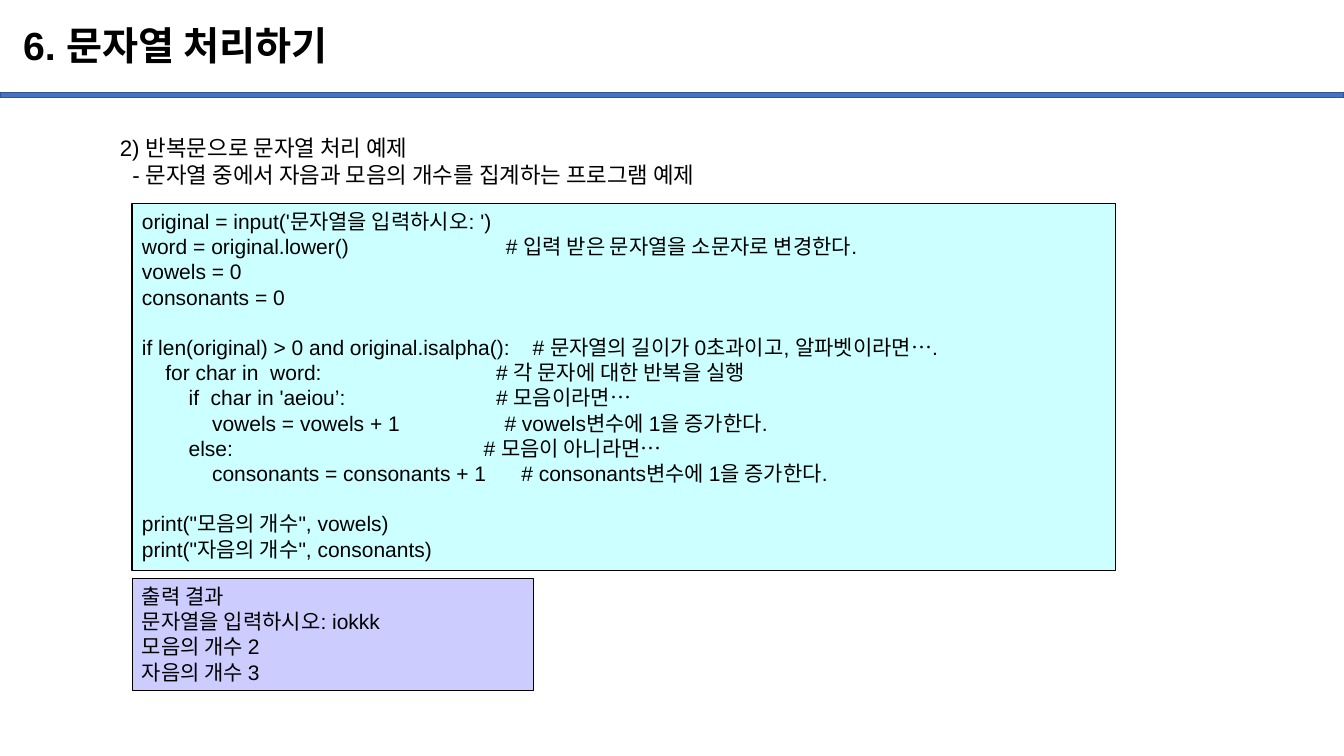
"""Build the slide on processing strings with a loop."""
from lxml import etree
from pptx import Presentation
from pptx import util as u
from pptx.dml.color import RGBColor
from pptx.enum import shapes, text
from pptx.oxml import ns

BLACK = RGBColor(0x00, 0x00, 0x00)
BLUE = RGBColor(0x44, 0x72, 0xC4)
DARK_BLUE = RGBColor(0x32, 0x54, 0x91)
CYAN = RGBColor(0xCC, 0xFF, 0xFF)
LAVENDER = RGBColor(0xCC, 0xCC, 0xFF)
INDENT = 16.7
LINE_HEIGHT = 18


def add_box(left, top, width, height, fill, line, line_width):
    shape = slide.shapes.add_shape(
        shapes.MSO_SHAPE.RECTANGLE, u.Pt(left), u.Pt(top), u.Pt(width), u.Pt(height))
    shape.shadow.inherit = False
    shape.fill.solid()
    shape.fill.fore_color.rgb = fill
    shape.line.color.rgb = line
    shape.line.width = u.Pt(line_width)
    shape.text_frame.vertical_anchor = text.MSO_ANCHOR.TOP
    return shape


def write_lines(frame, lines, size, bold=False):
    frame.word_wrap = True
    for index, line in enumerate(lines):
        paragraph = frame.paragraphs[0] if index == 0 else frame.add_paragraph()
        paragraph.add_run().text = line
        paragraph.alignment = text.PP_ALIGN.LEFT
        paragraph.font.name = "Arial"
        paragraph.font.size = u.Pt(size)
        paragraph.font.bold = bold
        paragraph.font.color.rgb = BLACK
    return frame.paragraphs


presentation = Presentation()
presentation.slide_width = u.Pt(960)
presentation.slide_height = u.Pt(540)
slide = presentation.slides.add_slide(presentation.slide_layouts[6])

add_box(0, 66.2, 960, 3.6, BLUE, DARK_BLUE, 1)

title = slide.shapes.add_textbox(u.Pt(9.4), u.Pt(7.2), u.Pt(828), u.Pt(53.3))
title.text_frame.vertical_anchor = text.MSO_ANCHOR.MIDDLE
write_lines(title.text_frame, ["6. 문자열 처리하기"], 28, True)[0].line_spacing = 0.9

heading = slide.shapes.add_textbox(u.Pt(78.5), u.Pt(82.8), u.Pt(843.8), u.Pt(55.4))
heading_lines = write_lines(heading.text_frame, [
    "2) 반복문으로 문자열 처리 예제",
    "- 문자열 중에서 자음과 모음의 개수를 집계하는 프로그램 예제",
], 16)
heading_lines[0].line_spacing = 1.5
heading_lines[1]._p.get_or_add_pPr().set("marL", str(u.Pt(8.9)))

# level, code, comment, comment position, blank lines above
code_lines = [
    (0, "original = input('문자열을 입력하시오: ')", "", 0, 0),
    (0, "word = original.lower()", "# 입력 받은 문자열을 소문자로 변경한다.", 260, 0),
    (0, "vowels = 0", "", 0, 0),
    (0, "consonants = 0", "", 0, 0),
    (0, "if len(original) > 0 and original.isalpha():",
     "# 문자열의 길이가 0초과이고, 알파벳이라면….", 279, 1),
    (1, "for char in  word:", "# 각 문자에 대한 반복을 실행", 253, 0),
    (2, "if  char in 'aeiou’:", "# 모음이라면…", 253, 0),
    (3, "vowels = vowels + 1", "# vowels변수에 1을 증가한다.", 259, 0),
    (2, "else:", "# 모음이 아니라면…", 244, 0),
    (3, "consonants = consonants + 1", "# consonants변수에 1을 증가한다.", 271, 0),
    (0, 'print("모음의 개수", vowels)', "", 0, 1),
    (0, 'print("자음의 개수", consonants)', "", 0, 0),
]
code_box = add_box(94.3, 145.4, 702.7, 262.1, CYAN, BLACK, 0.75)
code_texts = ["\t" * level + code + ("\t" + comment if comment else "")
              for level, code, comment, position, blanks in code_lines]
code_paragraphs = write_lines(code_box.text_frame, code_texts, 15)
for paragraph, (level, code, comment, position, blanks) in zip(code_paragraphs, code_lines):
    if blanks:
        paragraph.space_before = u.Pt(LINE_HEIGHT * blanks)
    if comment:
        tab_list = etree.Element(ns.qn("a:tabLst"))
        for stop in [INDENT * (step + 1) for step in range(level)] + [position]:
            etree.SubElement(tab_list, ns.qn("a:tab"), pos=str(u.Pt(stop)), algn="l")
        paragraph._p.pPr.find(ns.qn("a:defRPr")).addprevious(tab_list)

result_box = add_box(94.3, 413.3, 286.6, 79.9, LAVENDER, BLACK, 0.75)
write_lines(result_box.text_frame, [
    "출력 결과",
    "문자열을 입력하시오: iokkk",
    "모음의 개수 2",
    "자음의 개수 3",
], 15)

presentation.save("out.pptx")
